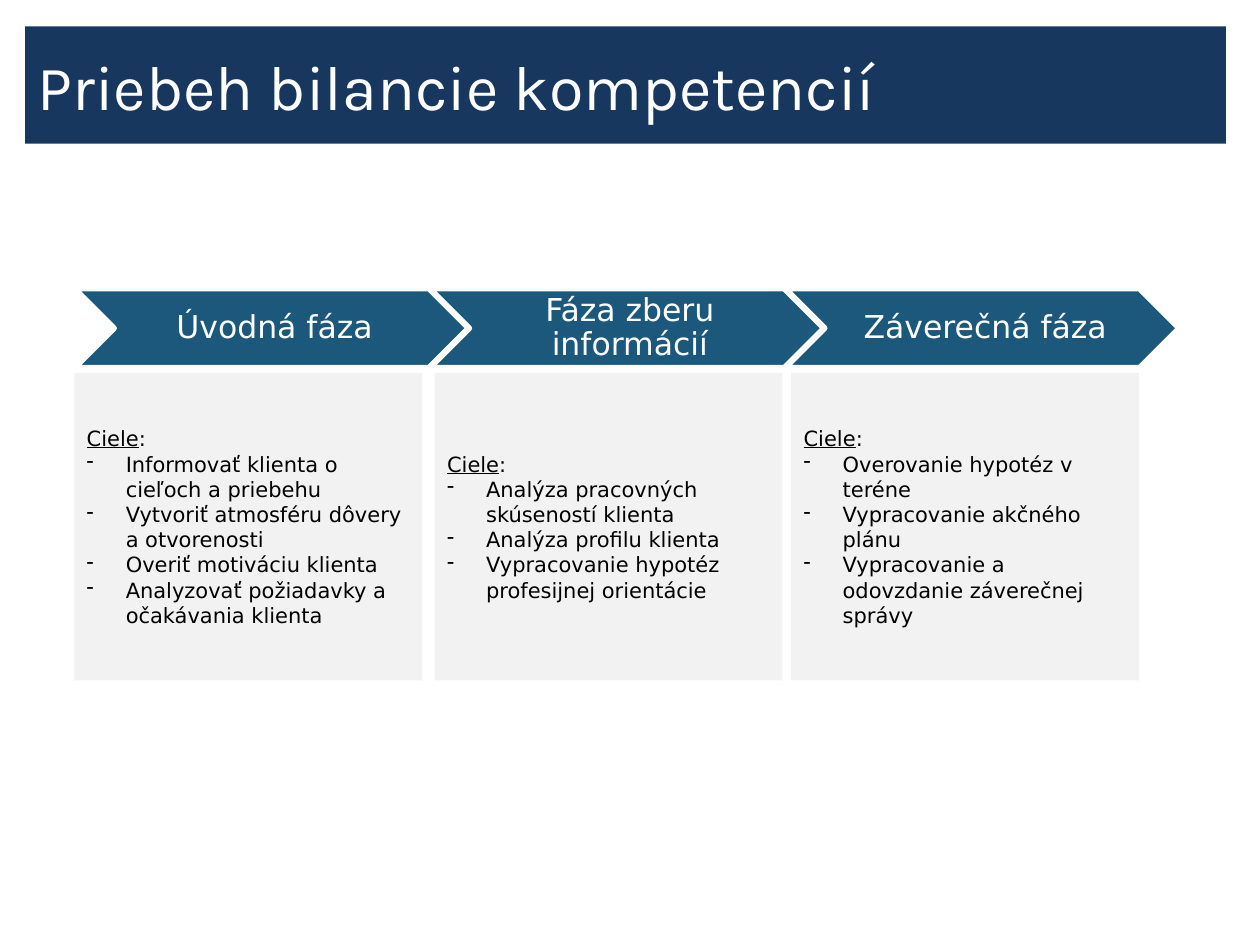
"""Build a slide with the three phases of a competence assessment and their goals."""
from lxml.etree import SubElement
from pptx import Presentation
from pptx.dml.color import RGBColor
from pptx.enum.shapes import MSO_SHAPE
from pptx.enum.text import MSO_ANCHOR, PP_ALIGN
from pptx.oxml.ns import qn
from pptx.util import Inches, Pt

NAVY = RGBColor(0x17, 0x37, 0x5E)
TEAL = RGBColor(0x1B, 0x58, 0x7C)
PALE_GREY = RGBColor(0xF2, 0xF2, 0xF2)
WHITE = RGBColor(0xFF, 0xFF, 0xFF)
BLACK = RGBColor(0x00, 0x00, 0x00)

presentation = Presentation()
presentation.slide_width = Inches(10)
presentation.slide_height = Inches(7.5)
slide = presentation.slides.add_slide(presentation.slide_layouts[6])
column = presentation.slide_width / 100
row = presentation.slide_height / 75


def add_panel(preset, left, top, width, height, fill):
    shape = slide.shapes.add_shape(
        preset, int(left * column), int(top * row), int(width * column), int(height * row)
    )
    shape.shadow.inherit = False
    shape.fill.solid()
    shape.fill.fore_color.rgb = fill
    shape.line.fill.background()
    shape.text_frame.word_wrap = True
    shape.text_frame.vertical_anchor = MSO_ANCHOR.MIDDLE
    return shape


def format_paragraph(paragraph, font_name, size, color, alignment=PP_ALIGN.LEFT):
    paragraph.alignment = alignment
    for run in paragraph.runs:
        run.font.name = font_name
        run.font.size = Pt(size)
        run.font.color.rgb = color


phases = [
    ("Úvodná fáza", 5.9, [
        "Informovať klienta o cieľoch a priebehu",
        "Vytvoriť atmosféru dôvery a otvorenosti",
        "Overiť motiváciu klienta",
        "Analyzovať požiadavky a očakávania klienta",
    ]),
    ("Fáza zberu informácií", 34.5, [
        "Analýza pracovných skúseností klienta",
        "Analýza profilu klienta",
        "Vypracovanie hypotéz profesijnej orientácie",
    ]),
    ("Záverečná fáza", 62.8, [
        "Overovanie hypotéz v teréne",
        "Vypracovanie akčného plánu",
        "Vypracovanie a odovzdanie záverečnej správy",
    ]),
]

for index, (phase, card_left, goals) in enumerate(phases):
    chevron = add_panel(MSO_SHAPE.CHEVRON, 5.9 + index * 28.2, 22.9, 31.3, 6.3, TEAL)
    chevron.line.color.rgb = WHITE
    chevron.line.width = Pt(3.35)
    frame = chevron.text_frame
    frame.margin_left = Inches(0.08)
    frame.margin_top = frame.margin_right = frame.margin_bottom = Inches(0.03)
    frame.text = phase
    frame.paragraphs[0].line_spacing = 0.9
    format_paragraph(frame.paragraphs[0], "DejaVu Sans", 18, WHITE, PP_ALIGN.CENTER)

    card = add_panel(MSO_SHAPE.RECTANGLE, card_left, 29.6, 27.6, 24.4, PALE_GREY)
    heading = card.text_frame.paragraphs[0]
    for text, underlined in (("Ciele", True), (":", False)):
        run = heading.add_run()
        run.text = text
        run.font.underline = underlined
    format_paragraph(heading, "DejaVu Sans", 12, BLACK)
    for goal in goals:
        paragraph = card.text_frame.add_paragraph()
        paragraph.text = goal
        properties = paragraph._p.get_or_add_pPr()
        properties.set("marL", str(Inches(0.31)))
        properties.set("indent", str(-Inches(0.31)))
        SubElement(properties, qn("a:buChar")).set("char", "-")
        format_paragraph(paragraph, "DejaVu Sans", 12, BLACK)

title = add_panel(MSO_SHAPE.RECTANGLE, 2, 2.1, 95.3, 9.3, NAVY)
title.text_frame.text = "Priebeh bilancie kompetencií"
format_paragraph(title.text_frame.paragraphs[0], "Karla", 36, WHITE)

presentation.save("out.pptx")
